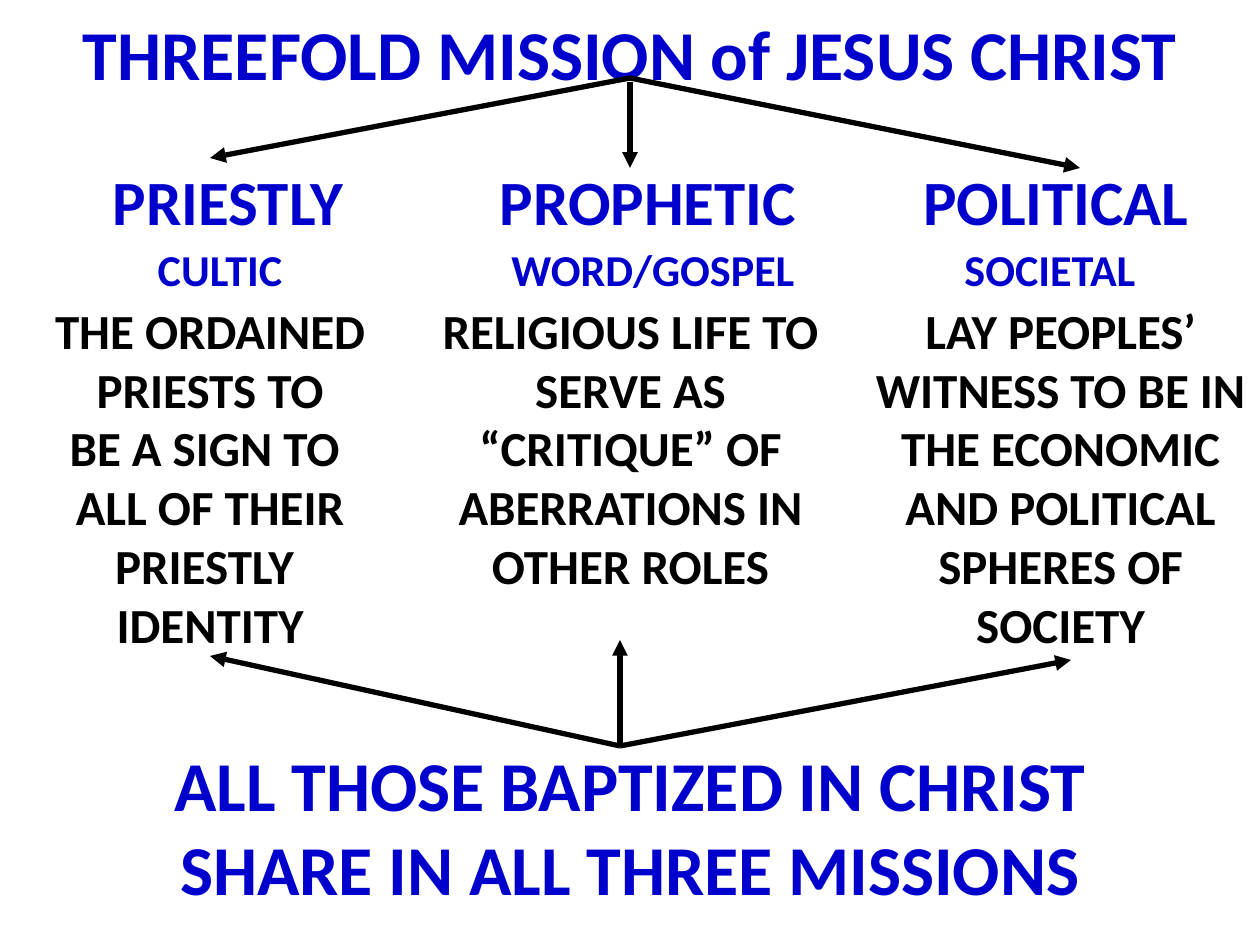
"""Build the slide on the threefold mission: three roles between a title and a closing statement."""
from dataclasses import dataclass

from lxml import etree
from pptx import Presentation
from pptx.dml.color import RGBColor
from pptx.enum.shapes import MSO_CONNECTOR
from pptx.enum.text import MSO_ANCHOR, MSO_AUTO_SIZE, PP_ALIGN
from pptx.oxml.ns import qn
from pptx.util import Emu, Pt

CENTER = PP_ALIGN.CENTER
MIDDLE = MSO_ANCHOR.MIDDLE
TOP = MSO_ANCHOR.TOP
NO_AUTOFIT = MSO_AUTO_SIZE.NONE
STRAIGHT = MSO_CONNECTOR.STRAIGHT


@dataclass(frozen=True)
class Theme:
    font: str = "Calibri"
    blue: RGBColor = RGBColor(0x00, 0x00, 0xCC)
    black: RGBColor = RGBColor(0x00, 0x00, 0x00)
    banner: float = 40
    role: float = 36
    body: float = 28
    field: float = 25.2
    line: float = 3


THEME = Theme()
WIDTH, HEIGHT = 1260, 945


def px(length):
    return Emu(round(length * 914400 / 126))


def write(box, place, lines, size, color, anchor=TOP):
    box.left, box.top, box.width, box.height = map(px, place)
    frame = box.text_frame
    frame.word_wrap = True
    frame.auto_size = NO_AUTOFIT
    frame.vertical_anchor = anchor
    for index, line in enumerate(lines):
        para = frame.add_paragraph() if index else frame.paragraphs[0]
        para.alignment = CENTER
        span = para.add_run()
        span.text = line
        span.font.name = THEME.font
        span.font.size = Pt(size)
        span.font.bold = True
        span.font.color.rgb = color


deck = Presentation()
deck.slide_width, deck.slide_height = px(WIDTH), px(HEIGHT)
page = deck.slides.add_slide(deck.slide_layouts[5])

write(page.shapes.title, (0, 0, WIDTH, 105), ["THREEFOLD MISSION of JESUS CHRIST"],
      THEME.banner, THEME.blue, MIDDLE)

label_width = 400
labels = [
    ("PRIESTLY", 228, 200, THEME.role), ("CULTIC", 220, 269, THEME.field),
    ("PROPHETIC", 648, 200, THEME.role), ("WORD/GOSPEL", 653, 269, THEME.field),
    ("POLITICAL", 1056, 200, THEME.role), ("SOCIETAL", 1050, 269, THEME.field),
]
for text, center, middle, size in labels:
    box = page.shapes.add_textbox(0, 0, 0, 0)
    place = (center - label_width // 2, middle - 40, label_width, 80)
    write(box, place, [text], size, THEME.blue, MIDDLE)

columns = [
    (0, 420, ["THE ORDAINED", "PRIESTS TO", "BE A SIGN TO ", "ALL OF THEIR",
              "PRIESTLY ", "IDENTITY"]),
    (410, 441, ["RELIGIOUS LIFE TO SERVE AS “CRITIQUE” OF ABERRATIONS IN OTHER ROLES"]),
    (861, 399, ["LAY PEOPLES’ WITNESS TO BE IN THE ECONOMIC AND POLITICAL SPHERES OF SOCIETY"]),
]
for left, width, lines in columns:
    box = page.shapes.add_textbox(0, 0, 0, 0)
    write(box, (left, 294, width, 367), lines, THEME.body, THEME.black)

closing = page.shapes.add_textbox(0, 0, 0, 0)
write(closing, (0, 735, WIDTH, 180),
      ["ALL THOSE BAPTIZED IN CHRIST", "SHARE IN ALL THREE MISSIONS"],
      THEME.banner, THEME.blue)

arrows = [
    (620, 746, 1071, 660), (620, 746, 620, 640), (620, 746, 210, 656),
    (630, 78, 1080, 168), (630, 78, 210, 158), (630, 82, 630, 168),
]
for ends in arrows:
    arrow = page.shapes.add_connector(STRAIGHT, *map(px, ends))
    arrow.line.color.rgb = THEME.black
    arrow.line.width = Pt(THEME.line)
    etree.SubElement(arrow.line._get_or_add_ln(), qn("a:tailEnd"), type="triangle")
    etree.SubElement(arrow._element.spPr, qn("a:effectLst"))

deck.save("out.pptx")
